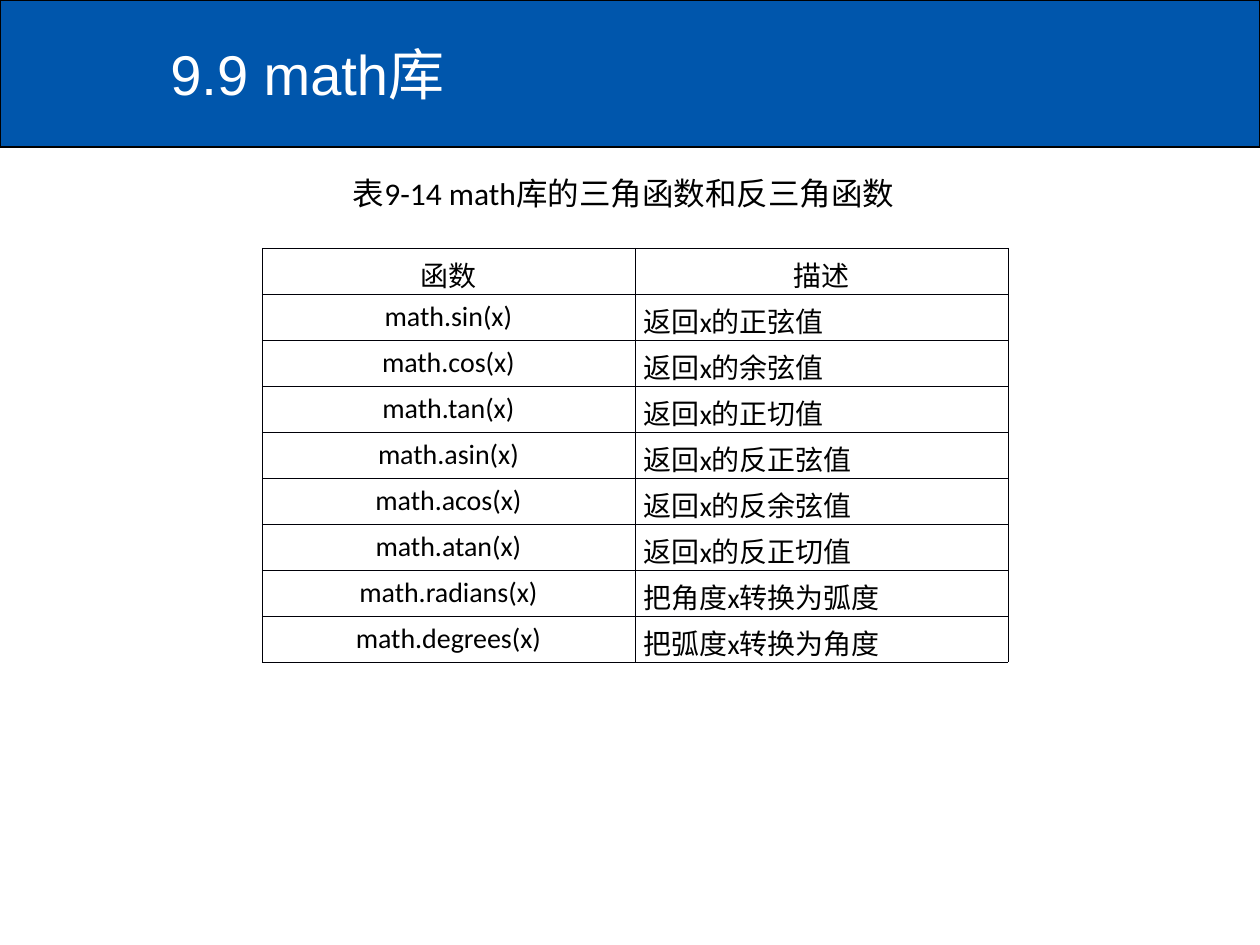
"""Build the slide on the trigonometric functions of the math library."""
from lxml.etree import SubElement
from pptx import Presentation
from pptx.dml.color import RGBColor
from pptx.enum.shapes import MSO_SHAPE
from pptx.enum.text import MSO_ANCHOR, PP_ALIGN
from pptx.oxml.ns import qn
from pptx.util import Pt

TITLE = ["9.9 math库"]
CAPTION = ["表9-14 math", "库", "的三角函数和反三角函数"]
HEADINGS = ("函数", "描述")
FUNCTIONS = [
    ("math.sin(x)", "返回", "的正弦值"),
    ("math.cos(x)", "返回", "的余弦值"),
    ("math.tan(x)", "返回", "的正切值"),
    ("math.asin(x)", "返回", "的反正弦值"),
    ("math.acos(x)", "返回", "的反余弦值"),
    ("math.atan(x)", "返回", "的反正切值"),
    ("math.radians(x)", "把角度", "转换为弧度"),
    ("math.degrees(x)", "把弧度", "转换为角度"),
]

COLORS = {"banner": "0056AC", "title": "FFFFFF", "text": "000000", "border": "000008"}
CHINESE_FONT = "Noto Sans CJK SC"
FORMATS = {
    "title": {"name": "Arial", "size": Pt(32)},
    "caption": {"name": "Calibri", "size": Pt(18)},
    "cell": {"name": "Calibri", "size": Pt(16)},
}
SCALE = 914400 // 126
SLIDE_SIZE = (1260, 945)
BANNER_BOX = (0, 0, 1260, 147)
TITLE_BOX = (158, 10, 1102, 126)
CAPTION_BOX = (273, 168, 701, 50)
TABLE_LEFT, TABLE_TOP = 262, 248
COLUMN_WIDTH, ROW_HEIGHT = 373, 46
CELL_MARGINS = {"margin_left": 9, "margin_top": 6, "margin_right": 9, "margin_bottom": 0}


def px(*lengths):
    return [length * SCALE for length in lengths]


def color(name):
    return RGBColor.from_string(COLORS[name])


def write(text_frame, parts, style, ink="text", alignment=PP_ALIGN.CENTER):
    paragraph = text_frame.paragraphs[0]
    paragraph.alignment = alignment
    for part in parts:
        run = paragraph.add_run()
        run.text = part
        for attribute, value in FORMATS[style].items():
            setattr(run.font, attribute, value)
        run.font.color.rgb = color(ink)
        properties = run.font._element
        SubElement(properties, qn("a:ea"), typeface=CHINESE_FONT)


def add_text(slide, box, parts, style, **options):
    text_frame = slide.shapes.add_textbox(*px(*box)).text_frame
    text_frame.word_wrap = True
    text_frame.vertical_anchor = MSO_ANCHOR.MIDDLE if style == "title" else MSO_ANCHOR.TOP
    write(text_frame, parts, style, **options)


def add_borders(cell):
    properties = cell._tc.get_or_add_tcPr()
    for index, side in enumerate(("lnL", "lnR", "lnT", "lnB")):
        line = properties.makeelement(qn(f"a:{side}"), {"w": str(Pt(0.23))})
        fill = SubElement(line, qn("a:solidFill"))
        SubElement(fill, qn("a:srgbClr"), val=COLORS["border"])
        properties.insert(index, line)


def add_function_table(slide):
    rows = [([HEADINGS[0]], [HEADINGS[1]])]
    rows += [([name], [before, "x", after]) for name, before, after in FUNCTIONS]
    size = (len(HEADINGS) * COLUMN_WIDTH, len(rows) * ROW_HEIGHT)
    frame = slide.shapes.add_table(
        len(rows), len(HEADINGS), *px(TABLE_LEFT, TABLE_TOP, *size)
    )
    for row_index, row in enumerate(rows):
        for column_index, parts in enumerate(row):
            cell = frame.table.cell(row_index, column_index)
            cell.fill.background()
            for attribute, margin in CELL_MARGINS.items():
                setattr(cell, attribute, margin * SCALE)
            add_borders(cell)
            centered = row_index == 0 or column_index == 0
            alignment = PP_ALIGN.CENTER if centered else PP_ALIGN.LEFT
            write(cell.text_frame, parts, "cell", alignment=alignment)


def main():
    presentation = Presentation()
    presentation.slide_width, presentation.slide_height = px(*SLIDE_SIZE)
    slide = presentation.slides.add_slide(presentation.slide_layouts[6])
    banner = slide.shapes.add_shape(MSO_SHAPE.RECTANGLE, *px(*BANNER_BOX))
    banner.shadow.inherit = False
    banner.fill.solid()
    banner.fill.fore_color.rgb = color("banner")
    banner.line.color.rgb = color("text")
    banner.line.width = Pt(0.75)
    add_text(slide, TITLE_BOX, TITLE, "title", ink="title", alignment=PP_ALIGN.LEFT)
    add_text(slide, CAPTION_BOX, CAPTION, "caption")
    add_function_table(slide)
    presentation.save("out.pptx")


if __name__ == "__main__":
    main()
